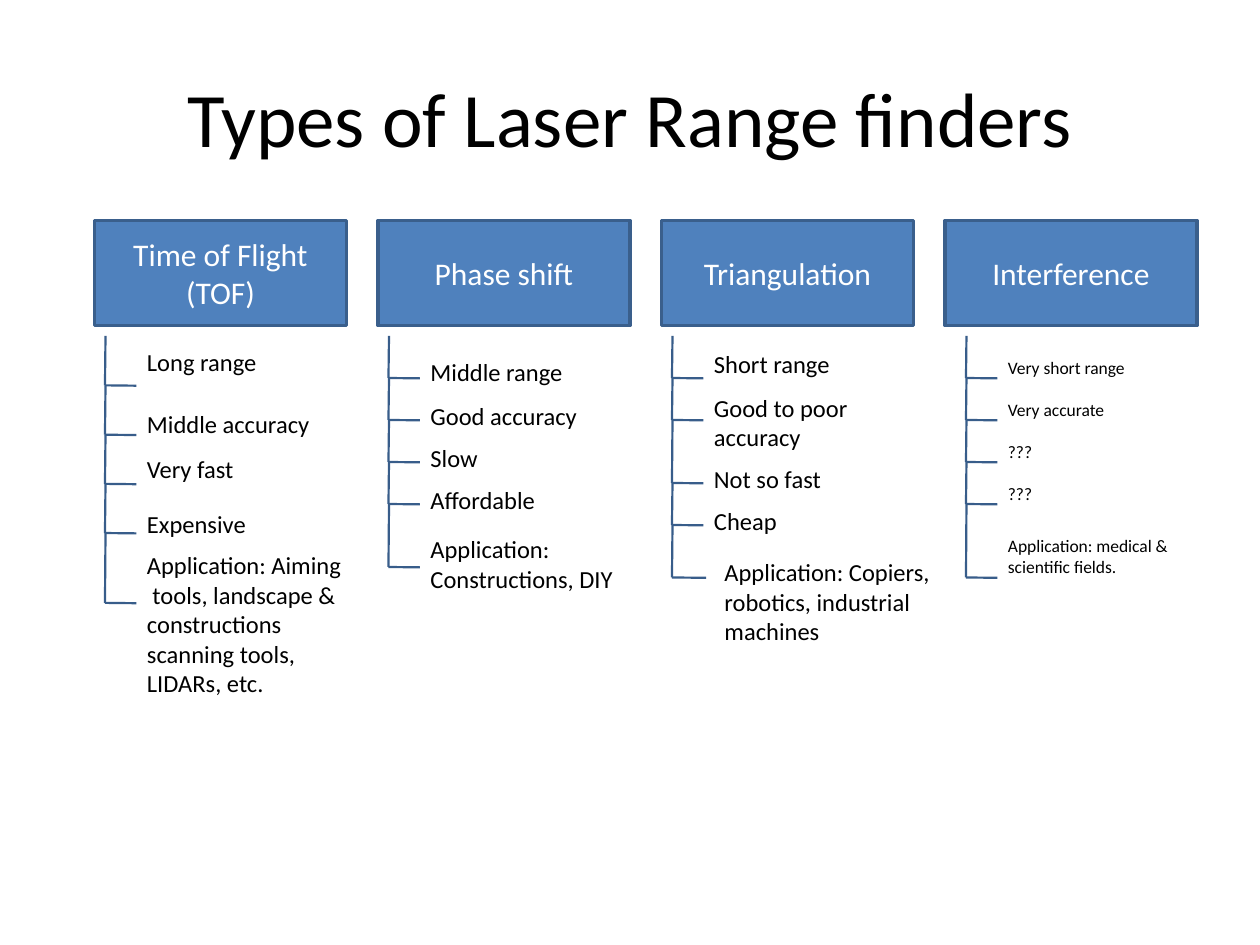
"""Build the slide comparing four types of laser range finders."""
from lxml import etree
from pptx import Presentation
from pptx.dml.color import RGBColor
from pptx.enum import shapes, text
from pptx.oxml.ns import qn
from pptx.util import Pt

COLORS = {"text": "000000", "head": "4F81BD", "edge": "3A5F8C",
          "branch": "385D8A", "head_text": "FFFFFF"}
TOP, BOTTOM = text.MSO_ANCHOR.TOP, text.MSO_ANCHOR.BOTTOM


def style_text(frame, size, color, align, anchor):
    frame.word_wrap = True
    frame.vertical_anchor = anchor
    for paragraph in frame.paragraphs:
        paragraph.alignment = align
        for run in paragraph.runs:
            run.font.name = "Calibri"
            run.font.size = Pt(size)
            run.font.color.rgb = RGBColor.from_string(COLORS[color])


def add_branch(tree, x1, y1, x2, y2):
    branch = tree.shapes.add_connector(
        shapes.MSO_CONNECTOR.STRAIGHT, Pt(x1), Pt(y1), Pt(x2), Pt(y2))
    branch.line.color.rgb = RGBColor.from_string(COLORS["branch"])
    branch.line.width = Pt(1.25)
    etree.SubElement(branch._element.spPr, qn("a:effectLst"))


# heading, spine offset, text size, traits as (wording, tick y, top, height, anchor, indent)
finders = [
    ("Time of Flight\n(TOF)", 6, 14, [
        ("Long range", 220.2, 198.5, 20, TOP, 0),
        ("Middle accuracy", 248.4, 234, 20, TOP, 0),
        ("Very fast", 276.5, 255.5, 21, BOTTOM, 0),
        ("Expensive", 304.6, 291, 20, TOP, 0),
        ("Application: Aiming  tools, landscape & constructions scanning tools, LIDARs, etc.",
         344.5, 314.5, 99.5, TOP, 0)]),
    ("Phase shift", 6, 14, [
        ("Middle range", 216, 204, 17, TOP, 0),
        ("Good accuracy", 240, 228, 18, BOTTOM, 0),
        ("Slow", 264, 252, 18, BOTTOM, 0),
        ("Affordable", 288, 276, 18, BOTTOM, 0),
        ("Application: Constructions, DIY", 324, 312, 27, BOTTOM, 0)]),
    ("Triangulation", 6, 14, [
        ("Short range", 216, 198, 18, BOTTOM, 0),
        ("Good to poor accuracy", 240, 222, 36, BOTTOM, 0),
        ("Not so fast", 276, 264, 18, BOTTOM, 0),
        ("Cheap", 300, 288, 18, BOTTOM, 0),
        ("Application: Copiers, robotics, industrial machines", 330, 324, 45, BOTTOM, 6)]),
    ("Interference", 12, 10, [
        ("Very short range", 216, 198, 18, BOTTOM, 0),
        ("Very accurate", 240, 222, 18, BOTTOM, 0),
        ("???", 264, 246, 18, BOTTOM, 0),
        ("???", 288, 270, 18, BOTTOM, 0),
        ("Application: medical & scientific fields.", 330, 298, 32, BOTTOM, 0)]),
]

deck = Presentation()
deck.slide_width, deck.slide_height = Pt(720), Pt(540)
slide = deck.slides.add_slide(deck.slide_layouts[6])

title = slide.shapes.add_textbox(Pt(36), Pt(21.6), Pt(648), Pt(90))
title.text_frame.text = "Types of Laser Range finders"
style_text(title.text_frame, 44, "text", text.PP_ALIGN.CENTER, text.MSO_ANCHOR.MIDDLE)

for column, (heading, offset, size, traits) in enumerate(finders):
    left = 54 + 162 * column
    head = slide.shapes.add_shape(
        shapes.MSO_SHAPE.RECTANGLE, Pt(left), Pt(126), Pt(144), Pt(60))
    head.shadow.inherit = False
    head.fill.solid()
    head.fill.fore_color.rgb = RGBColor.from_string(COLORS["head"])
    head.line.color.rgb = RGBColor.from_string(COLORS["edge"])
    head.line.width = Pt(2)
    head.text_frame.text = heading
    style_text(head.text_frame, 18, "head_text", text.PP_ALIGN.CENTER, text.MSO_ANCHOR.MIDDLE)

    tree = slide.shapes.add_group_shape()
    spine = left + offset
    previous = 192
    for wording, tick, top, height, anchor, indent in traits:
        add_branch(tree, spine + 0.3, previous, spine, tick)
        add_branch(tree, spine, tick, spine + 18 + indent / 4, tick + 0.2)
        trait = tree.shapes.add_textbox(
            Pt(spine + 24 + indent), Pt(top), Pt(114 + 1.6 * indent), Pt(height))
        frame = trait.text_frame
        frame.margin_left = frame.margin_right = frame.margin_top = frame.margin_bottom = 0
        frame.text = wording
        style_text(frame, size, "text", text.PP_ALIGN.LEFT, anchor)
        previous = tick

deck.save("out.pptx")
